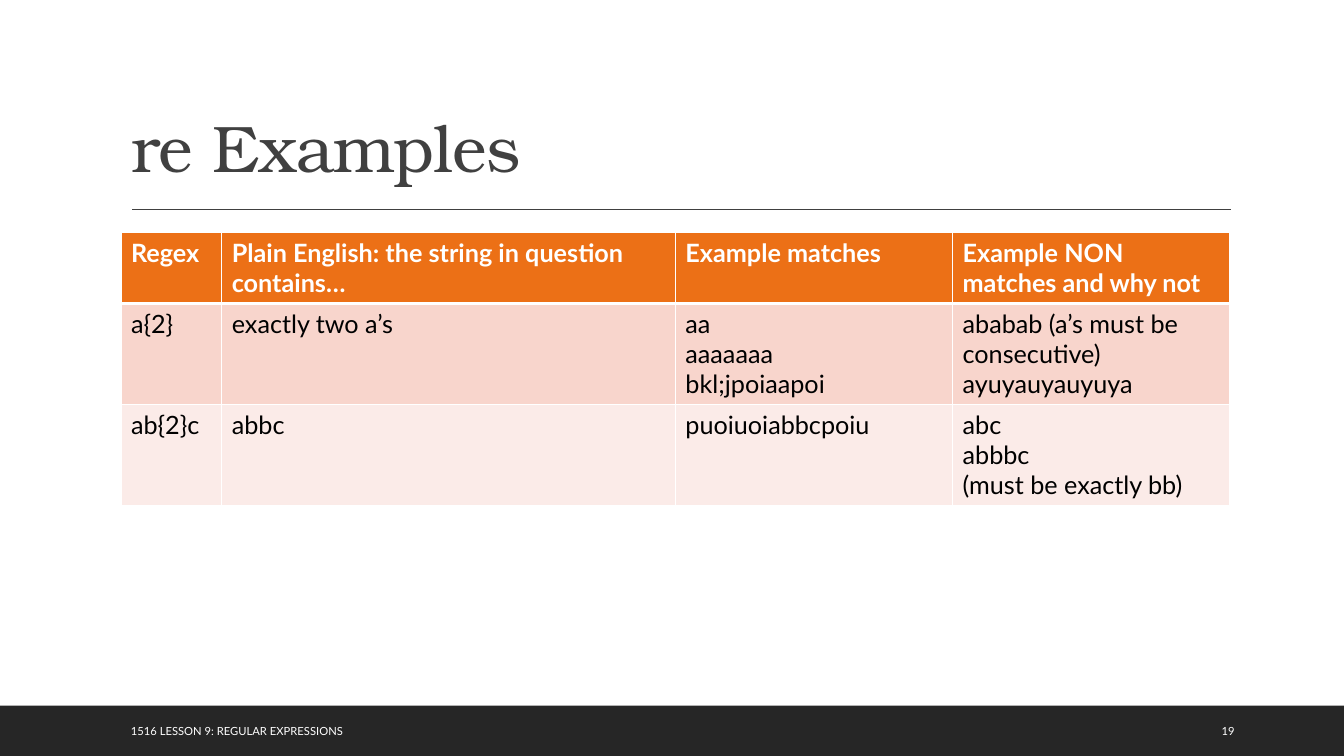
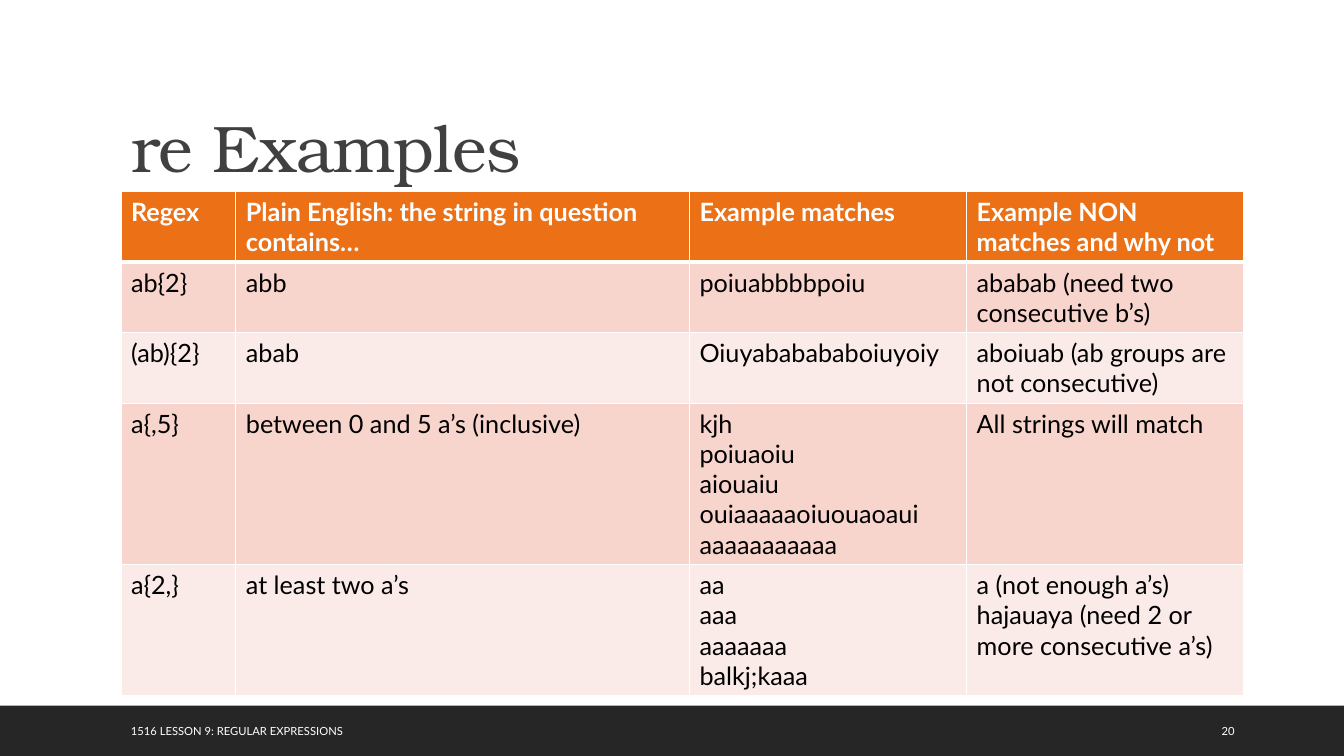
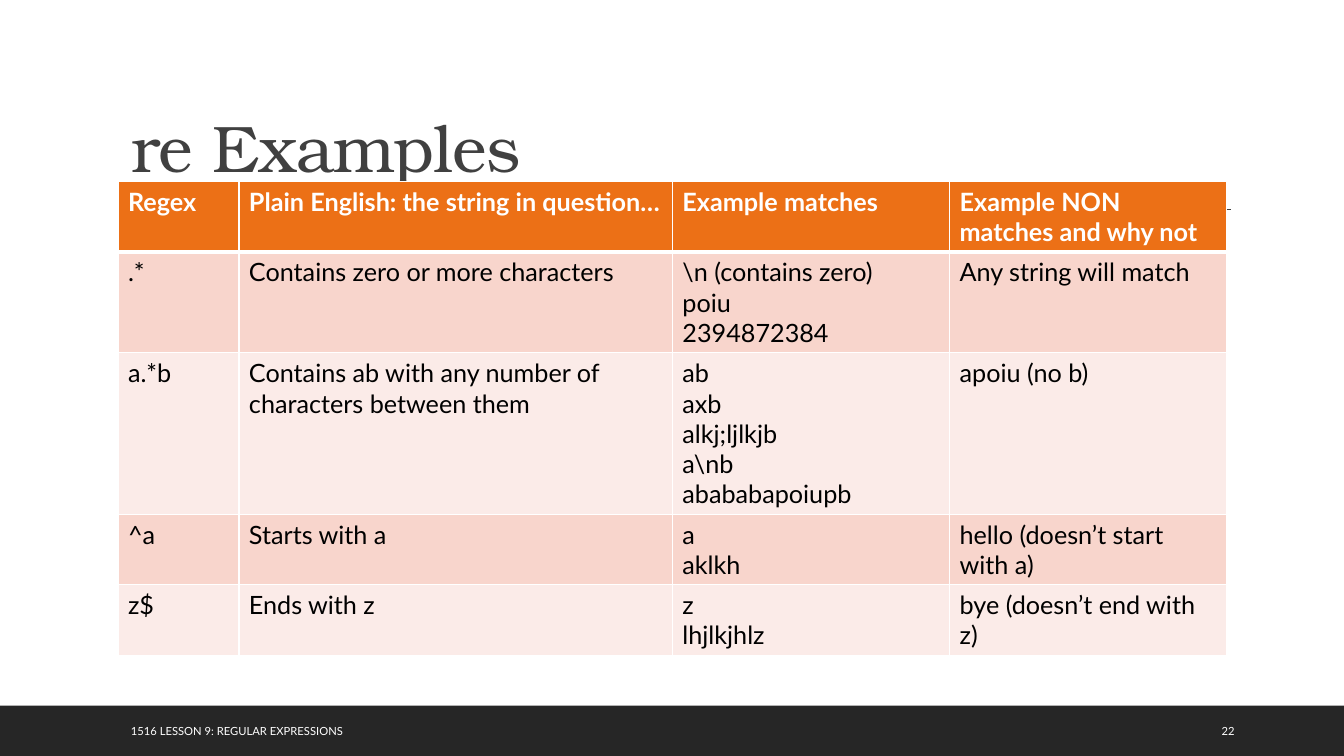
import lxml.etree
import pptx
import pptx.dml.color
import pptx.enum.shapes
import pptx.enum.text
import pptx.oxml
import pptx.oxml.ns
import pptx.util

# Grid: square cells, ten to the inch
CELL = pptx.util.Inches(0.1)
WIDE, HIGH = 133.33, 75
MARGIN = 12
BAND_ROWS = 5
FOOTER_ROWS = 4
RULE_ROW = 20.8

COLORS = {
    "ink": "404040",
    "band": "262626",
    "white": "FFFFFF",
    "black": "000000",
    "header": "EC7016",
    "odd": "F8D5CC",
    "even": "FBEBE8",
}
TITLE_FONT, BODY_FONT = "TeX Gyre Bonum", "Lato"
FOOTER = "1516 LESSON 9: REGULAR EXPRESSIONS"
QUESTION = "Plain English: the string in question"

# Each row: number of text lines, then the four cells
pages = [
    {
        "number": 19, "left": 12, "top": 23.1, "columns": (10, 45, 27.5, 27.5),
        "question": QUESTION + " contains…",
        "rows": [
            (3, "a{2}", "exactly two a’s", "aa\naaaaaaa\nbkl;jpoiaapoi",
             "ababab (a’s must be consecutive)\nayuyauyauyuya"),
            (3, "ab{2}c", "abbc", "puoiuoiabbcpoiu",
             "abc\nabbbc\n(must be exactly bb)"),
        ],
    },
    {
        "number": 20, "left": 12, "top": 19, "columns": (11.4, 45, 27.5, 27.5),
        "question": QUESTION + " contains…",
        "rows": [
            (2, "ab{2}", "abb", "poiuabbbbpoiu",
             "ababab (need two consecutive b’s)"),
            (2, "(ab){2}", "abab", "Oiuyababababoiuyoiy",
             "aboiuab (ab groups are not consecutive)"),
            (5, "a{,5}", "between 0 and 5 a’s (inclusive)",
             "kjh\npoiuaoiu\naiouaiu\nouiaaaaaoiuouaoaui\naaaaaaaaaaa",
             "All strings will match"),
            (4, "a{2,}", "at least two a’s", "aa\naaa\naaaaaaa\nbalkj;kaaa",
             "a (not enough a’s)\nhajauaya (need 2 or more consecutive a’s)"),
        ],
    },
    {
        "number": 22, "left": 11.7, "top": 18, "columns": (12, 43, 27.5, 27.5),
        "question": QUESTION + "…",
        "rows": [
            (3, ".*", "Contains zero or more characters",
             "\\n (contains zero)\npoiu\n2394872384", "Any string will match"),
            (5, "a.*b", "Contains ab with any number of characters between them",
             "ab\naxb\nalkj;ljlkjb\na\\nb\nabababapoiupb", "apoiu (no b)"),
            (2, "^a", "Starts with a", "a\naklkh", "hello (doesn’t start with a)"),
            (2, "z$", "Ends with z", "z\nlhjlkjhlz", "bye (doesn’t end with z)"),
        ],
    },
]


def on_grid(*cells):
    return [round(cell * CELL) for cell in cells]


def format_text(frame, font, size, color, bold=False):
    for para in frame.paragraphs:
        for span in para.runs:
            span.font.name = font
            span.font.size = pptx.util.Pt(size)
            span.font.bold = bold
            span.font.color.rgb = pptx.dml.color.RGBColor.from_string(COLORS[color])


deck = pptx.Presentation()
deck.slide_width, deck.slide_height = on_grid(WIDE, HIGH)
title_only = deck.slide_layouts[5]

for page in pages:
    slide = deck.slides.add_slide(title_only)

    # Dark band at the foot
    band = slide.shapes.add_shape(
        pptx.enum.shapes.MSO_SHAPE.RECTANGLE,
        *on_grid(0, HIGH - BAND_ROWS, WIDE, BAND_ROWS))
    band.shadow.inherit = False
    band.fill.solid()
    band.fill.fore_color.rgb = pptx.dml.color.RGBColor.from_string(COLORS["band"])
    band.line.fill.background()

    # Rule under the title
    rule = slide.shapes.add_connector(
        pptx.enum.shapes.MSO_CONNECTOR.STRAIGHT,
        *on_grid(MARGIN + 1.1, RULE_ROW, MARGIN + 110.1, RULE_ROW))
    rule.line.width = pptx.util.Pt(1)
    rule.line.color.rgb = pptx.dml.color.RGBColor.from_string(COLORS["ink"])
    lxml.etree.SubElement(rule.element.spPr, pptx.oxml.ns.qn("a:effectLst"))

    # Title
    title = slide.shapes.title
    title.left, title.top, title.width, title.height = on_grid(MARGIN, 3.1, 110, 15.9)
    title.text_frame.text = "re Examples"
    title.text_frame.auto_size = pptx.enum.text.MSO_AUTO_SIZE.NONE
    title.text_frame.vertical_anchor = pptx.enum.text.MSO_ANCHOR.BOTTOM
    heading = title.text_frame.paragraphs[0]
    heading.alignment = pptx.enum.text.PP_ALIGN.LEFT
    heading.line_spacing = 0.9
    format_text(title.text_frame, TITLE_FONT, 47, "ink")
    heading.runs[0].font._element.set("spc", "-50")

    # Table: a text line takes three grid rows, the cell margins one
    header = (2, "Regex", page["question"], "Example matches",
              "Example NON matches and why not")
    rows = [header] + page["rows"]
    heights = [1 + 3 * row[0] for row in rows]
    columns = page["columns"]
    frame = slide.shapes.add_table(
        len(rows), len(columns),
        *on_grid(page["left"], page["top"], sum(columns), sum(heights)))
    table = frame.table
    for column, width in zip(table.columns, on_grid(*columns)):
        column.width = width
    for index, (line_count, *texts) in enumerate(rows):
        table.rows[index].height = on_grid(heights[index])[0]
        is_header = index == 0
        fill = "header" if is_header else ("even", "odd")[index % 2]
        for cell, text in zip(table.rows[index].cells, texts):
            cell.text = text
            format_text(cell.text_frame, BODY_FONT, 18,
                        "white" if is_header else "black", is_header)
            # White borders, thicker between header and body
            thick = {0: "lnB", 1: "lnT"}.get(index)
            properties = cell._tc.get_or_add_tcPr()
            for side in ("lnL", "lnR", "lnT", "lnB"):
                points = 3 if side == thick else 1
                properties.append(pptx.oxml.parse_xml(
                    f'<a:{side} {pptx.oxml.ns.nsdecls("a")} w="{pptx.util.Pt(points)}">'
                    f'<a:solidFill><a:srgbClr val="{COLORS["white"]}"/></a:solidFill>'
                    f'</a:{side}>'))
            cell.fill.solid()
            cell.fill.fore_color.rgb = pptx.dml.color.RGBColor.from_string(COLORS[fill])

    # Footer and page number
    for text, left, width in ((FOOTER, MARGIN, 74.6), (str(page["number"]), 120.2, 8.5)):
        box = slide.shapes.add_textbox(
            *on_grid(left, HIGH - (BAND_ROWS + FOOTER_ROWS) / 2, width, FOOTER_ROWS))
        box.text_frame.text = text
        box.text_frame.word_wrap = True
        box.text_frame.vertical_anchor = pptx.enum.text.MSO_ANCHOR.MIDDLE
        format_text(box.text_frame, BODY_FONT, 8, "white")

deck.save("out.pptx")
